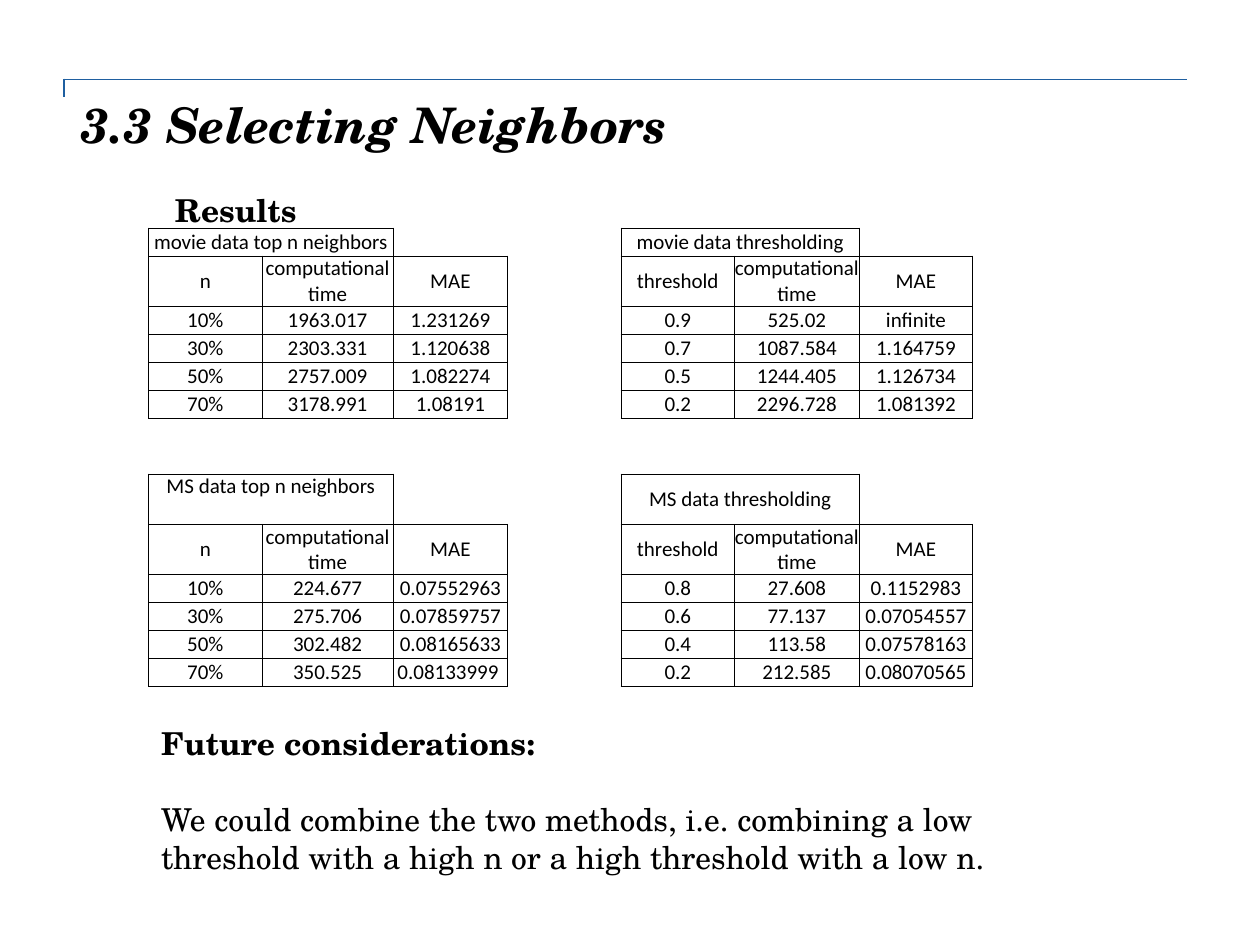
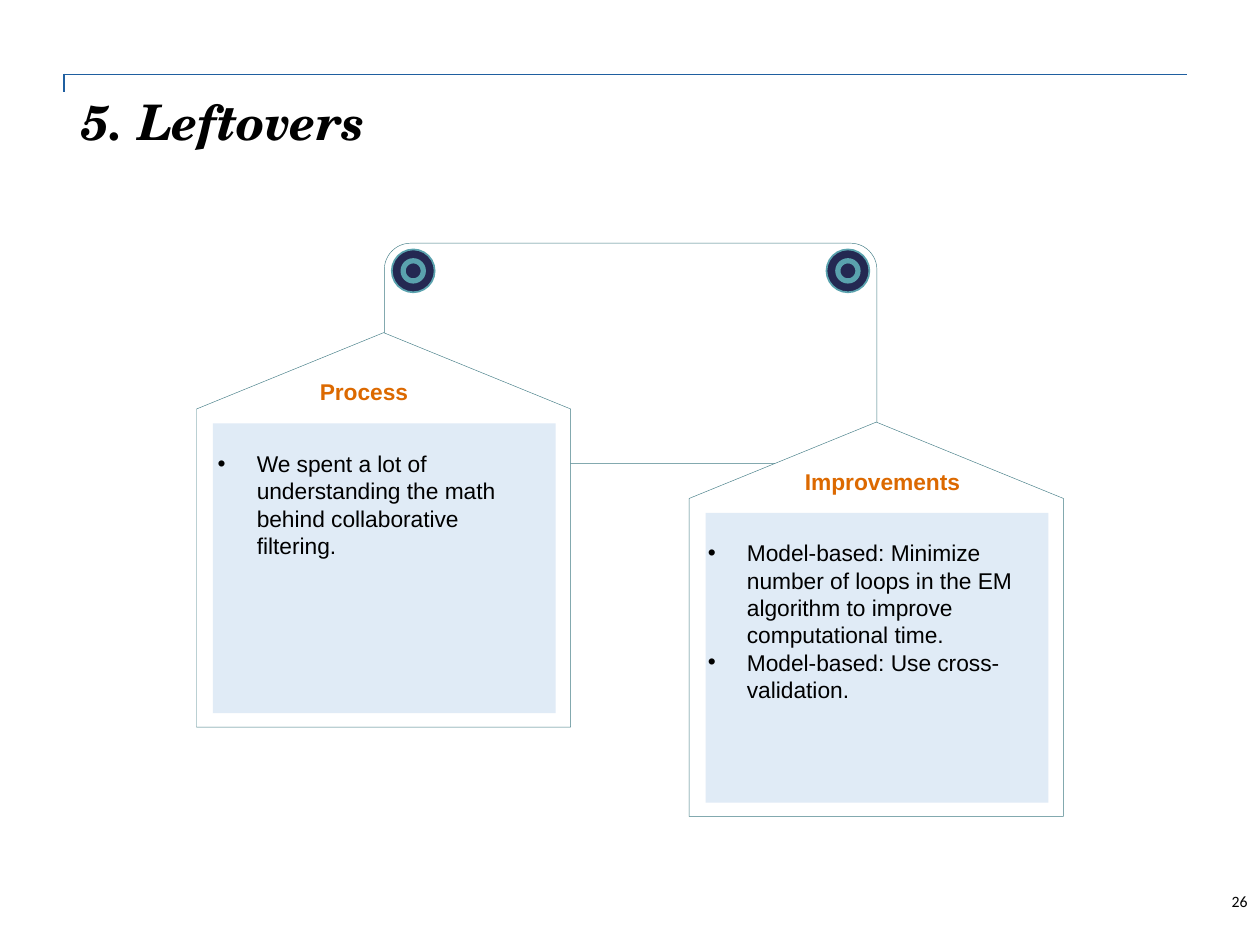
from dataclasses import dataclass

from lxml import etree
from pptx import Presentation
from pptx.dml.color import RGBColor
from pptx.enum import shapes, text
from pptx.oxml.ns import qn
from pptx.util import Inches, Pt


@dataclass(frozen=True)
class Theme:
    ink: str = "000000"
    rule: str = "1F5FA0"
    outline: str = "417B85"
    paper: str = "FFFFFF"
    panel: str = "E0EBF6"
    label: str = "DC6900"
    pulley: str = "242852"
    pulley_ring: str = "5AA2AE"
    serif: str = "TeX Gyre Schola"
    sans: str = "Arial"
    table_font: str = "Calibri"
    title_size: int = 28
    body_size: int = 18
    house_size: int = 13
    table_size: int = 12
    number_size: int = 9


THEME = Theme()
NO_GRID_STYLE = "{2D5ABB26-0587-4C30-8999-92F81FD0307C}"

COLUMN_WIDTHS = [0.9, 1.04, 0.91, 0.9, 0.9, 0.99, 0.9]
TABLE_HEIGHT, TALL_ROW_HEIGHT = 3.64, 0.4
ROW_COUNT, TALL_ROWS = 14, {1, 8, 9}
# Each block: first row, first column, caption, key heading, measurements
RESULT_BLOCKS = [
    (0, 0, "movie data top n neighbors", "n", [
        ("10%", "1963.017", "1.231269"), ("30%", "2303.331", "1.120638"),
        ("50%", "2757.009", "1.082274"), ("70%", "3178.991", "1.08191")]),
    (0, 4, "movie data thresholding", "threshold", [
        ("0.9", "525.02", "infinite"), ("0.7", "1087.584", "1.164759"),
        ("0.5", "1244.405", "1.126734"), ("0.2", "2296.728", "1.081392")]),
    (8, 0, "MS data top n neighbors", "n", [
        ("10%", "224.677", "0.07552963"), ("30%", "275.706", "0.07859757"),
        ("50%", "302.482", "0.08165633"), ("70%", "350.525", "0.08133999 ")]),
    (8, 4, "MS data thresholding", "threshold", [
        ("0.8", "27.608", "0.1152983"), ("0.6", "77.137", "0.07054557"),
        ("0.4", "113.58", "0.07578163"), ("0.2", "212.585", "0.08070565")]),
]


def rgb(value):
    return RGBColor.from_string(value)


def inches(*lengths):
    return [Inches(length) for length in lengths]


def format_paragraph(paragraph, font, size, color=THEME.ink, bold=False, italic=False):
    for run in paragraph.runs:
        run.font.name = font
        run.font.size = Pt(size)
        run.font.color.rgb = rgb(color)
        run.font.bold = bold
        run.font.italic = italic


def add_text(slide, box, lines, font, size, **style):
    text_box = slide.shapes.add_textbox(*inches(*box))
    frame = text_box.text_frame
    frame.word_wrap = True
    frame.text = "\n".join(lines)
    for paragraph in frame.paragraphs:
        format_paragraph(paragraph, font, size, **style)
    return frame


def add_shape(collection, kind, box, fill=None, line=None, width=0.25):
    shape = collection.add_shape(kind, *inches(*box))
    shape.shadow.inherit = False
    if fill:
        shape.fill.solid()
        shape.fill.fore_color.rgb = rgb(fill)
    else:
        shape.fill.background()
    if line:
        shape.line.color.rgb = rgb(line)
        shape.line.width = Pt(width)
    else:
        shape.line.fill.background()
    return shape


def add_plain_table(slide, left, top, widths, heights):
    """Add a table without banding, fills, margins or grid lines."""
    graphic = slide.shapes.add_table(
        len(heights), len(widths), *inches(left, top, sum(widths), sum(heights)))
    table = graphic.table
    table.first_row = table.horz_banding = False
    table._tbl.tblPr.find(qn("a:tableStyleId")).text = NO_GRID_STYLE
    for column, width in zip(table.columns, widths):
        column.width = Inches(width)
    for row, height in zip(table.rows, heights):
        row.height = Inches(height)
    for cell in table.iter_cells():
        cell.fill.background()
        cell.margin_left = cell.margin_right = cell.margin_top = cell.margin_bottom = 0
    return table


def set_borders(cell, sides, color, width):
    """Line the given sides of a cell and clear the others."""
    properties = cell._tc.get_or_add_tcPr()
    for position, side in enumerate("LRTB"):
        line = etree.Element(qn(f"a:ln{side}"), w=str(Pt(width)))
        if side in sides:
            fill = etree.SubElement(line, qn("a:solidFill"))
            etree.SubElement(fill, qn("a:srgbClr"), val=color)
        else:
            etree.SubElement(line, qn("a:noFill"))
        properties.insert(position, line)


def set_empty_size(cell, size):
    paragraph = cell.text_frame.paragraphs[0]
    etree.SubElement(paragraph._p, qn("a:endParaRPr"), sz=str(size * 100))


def add_titled_slide(presentation, title, rule_top, title_top):
    """Add a slide with a title hanging below a rule with a short left tick."""
    slide = presentation.slides.add_slide(presentation.slide_layouts[5])
    rule = add_plain_table(slide, 0.51, rule_top, [8.91], [0.14]).cell(0, 0)
    set_empty_size(rule, 1)
    set_borders(rule, "LT", THEME.rule, 1)

    heading = slide.shapes.title
    heading.left, heading.top, heading.width, heading.height = inches(
        0.55, title_top, 8.83, 1)
    frame = heading.text_frame
    frame.text = title
    frame.auto_size = text.MSO_AUTO_SIZE.NONE
    frame.vertical_anchor = text.MSO_ANCHOR.TOP
    paragraph = frame.paragraphs[0]
    paragraph.alignment = text.PP_ALIGN.LEFT
    paragraph.line_spacing = 0.9
    format_paragraph(paragraph, THEME.serif, THEME.title_size, bold=True, italic=True)
    return slide


def result_texts():
    """Map (row, column) to text; the merged half of a caption maps to ''."""
    texts = {}
    for top, left, caption, key, measurements in RESULT_BLOCKS:
        rows = [(caption, ""), (key, "computational time", "MAE"), *measurements]
        for row, values in enumerate(rows, top):
            for column, value in enumerate(values, left):
                texts[row, column] = value
    return texts


def add_results_table(slide, left, top):
    row_height = ((TABLE_HEIGHT - len(TALL_ROWS) * TALL_ROW_HEIGHT)
                  / (ROW_COUNT - len(TALL_ROWS)))
    heights = [TALL_ROW_HEIGHT if row in TALL_ROWS else row_height
               for row in range(ROW_COUNT)]
    table = add_plain_table(slide, left, top, COLUMN_WIDTHS, heights)

    texts = result_texts()
    for row in range(ROW_COUNT):
        for column in range(len(COLUMN_WIDTHS)):
            cell = table.cell(row, column)
            neighbours = {"L": (row, column - 1), "R": (row, column + 1),
                          "T": (row - 1, column), "B": (row + 1, column)}
            fill_result_cell(cell, texts.get((row, column), ""))
            sides = [side for side, place in neighbours.items()
                     if (row, column) in texts or place in texts]
            set_borders(cell, sides, THEME.ink, 0.5)
    for first_row, first_column, *_ in RESULT_BLOCKS:
        table.cell(first_row, first_column).merge(
            table.cell(first_row, first_column + 1))
    table.cell(8, 0).vertical_anchor = text.MSO_ANCHOR.TOP


def fill_result_cell(cell, value):
    cell.vertical_anchor = text.MSO_ANCHOR.MIDDLE
    if not value:
        set_empty_size(cell, THEME.table_size)
        return
    paragraph = cell.text_frame.paragraphs[0]
    paragraph.alignment = text.PP_ALIGN.CENTER
    paragraph.text = value
    format_paragraph(paragraph, THEME.table_font, THEME.table_size)


def build_neighbors_slide(presentation):
    slide = add_titled_slide(presentation, "3.3 Selecting Neighbors", 0.63, 0.75)
    add_text(slide, (1.29, 1.47, 6.2, 0.4), ["Results"],
             THEME.serif, THEME.body_size, bold=True)
    frame = add_text(slide, (1.18, 5.7, 6.95, 1.31), [
        "Future considerations:",
        "We could combine the two methods, i.e. combining a low threshold "
        "with a high n or a high threshold with a low n.",
    ], THEME.serif, THEME.body_size)
    heading, advice = frame.paragraphs
    heading.runs[0].font.bold = True
    advice.space_before = Pt(21.6)
    add_results_table(slide, 1.18, 1.81)


def add_bullet(paragraph):
    indent = Inches(0.31)
    properties = paragraph._p.get_or_add_pPr()
    properties.set("marL", str(indent))
    properties.set("indent", str(-indent))
    etree.SubElement(properties, qn("a:buFont"), typeface=THEME.sans)
    etree.SubElement(properties, qn("a:buChar"), char="•")


def add_house(slide, left, top, label, label_offset, bullets, bullet_offset):
    """Draw a gabled frame with a label in the gable and bullets on a panel."""
    width, height = 2.97, 3.13
    shift = (height - width) / 2
    gable = add_shape(slide.shapes, shapes.MSO_SHAPE.RIGHT_ARROW,
                      (left - shift, top + shift, height, width),
                      THEME.paper, THEME.outline)
    gable.rotation = 270
    gable.adjustments[0], gable.adjustments[1] = 1, 0.204
    add_shape(slide.shapes, shapes.MSO_SHAPE.RECTANGLE,
              (left + 0.13, top + 0.72, 2.72, 2.3), THEME.panel)
    add_text(slide, (left + label_offset, top + 0.31, 1.9, 0.32), [label],
             THEME.sans, THEME.house_size, color=THEME.label, bold=True)
    frame = add_text(slide, (left + bullet_offset, top + 0.88, 2.74, 1.41),
                     bullets, THEME.sans, THEME.house_size)
    for paragraph in frame.paragraphs:
        add_bullet(paragraph)


def add_pulley(slide, left, top, size):
    group = slide.shapes.add_group_shape()
    for diameter, line_width in ((size, 1), (0.16, 3)):
        inset = (size - diameter) / 2
        add_shape(group.shapes, shapes.MSO_SHAPE.OVAL,
                  (left + inset, top + inset, diameter, diameter),
                  THEME.pulley, THEME.pulley_ring, line_width)


def add_rope(slide, left, top, width, height):
    """Draw the rope loop with a pulley inside each upper corner."""
    rope = add_shape(slide.shapes, shapes.MSO_SHAPE.ROUNDED_RECTANGLE,
                     (left, top, width, height), line=THEME.outline)
    rope.adjustments[0] = 0.12
    inset, size = 0.06, 0.34
    for pulley_left in (left + inset, left + width - inset - size):
        add_pulley(slide, pulley_left, top + 0.05, size)


def build_leftovers_slide(presentation):
    slide = add_titled_slide(presentation, "5. Leftovers", 0.59, 0.73)
    add_rope(slide, 3.05, 1.93, 3.91, 1.75)
    add_house(slide, 1.56, 2.64, "Process", 0.88, [
        "We spent a lot of understanding the math behind collaborative filtering.",
    ], 0.07)
    add_house(slide, 5.47, 3.35, "Improvements", 0.82, [
        "Model-based: Minimize number of loops in the EM algorithm "
        "to improve computational time.",
        "Model-based: Use cross-validation.",
    ], 0.05)
    number = add_text(slide, (7.75, 6.95, 2.25, 0.4), ["26"],
                      THEME.table_font, THEME.number_size)
    number.vertical_anchor = text.MSO_ANCHOR.MIDDLE
    number.paragraphs[0].alignment = text.PP_ALIGN.RIGHT


def main():
    presentation = Presentation()
    presentation.slide_width, presentation.slide_height = inches(10, 7.5)
    build_neighbors_slide(presentation)
    build_leftovers_slide(presentation)
    presentation.save("out.pptx")


if __name__ == "__main__":
    main()
